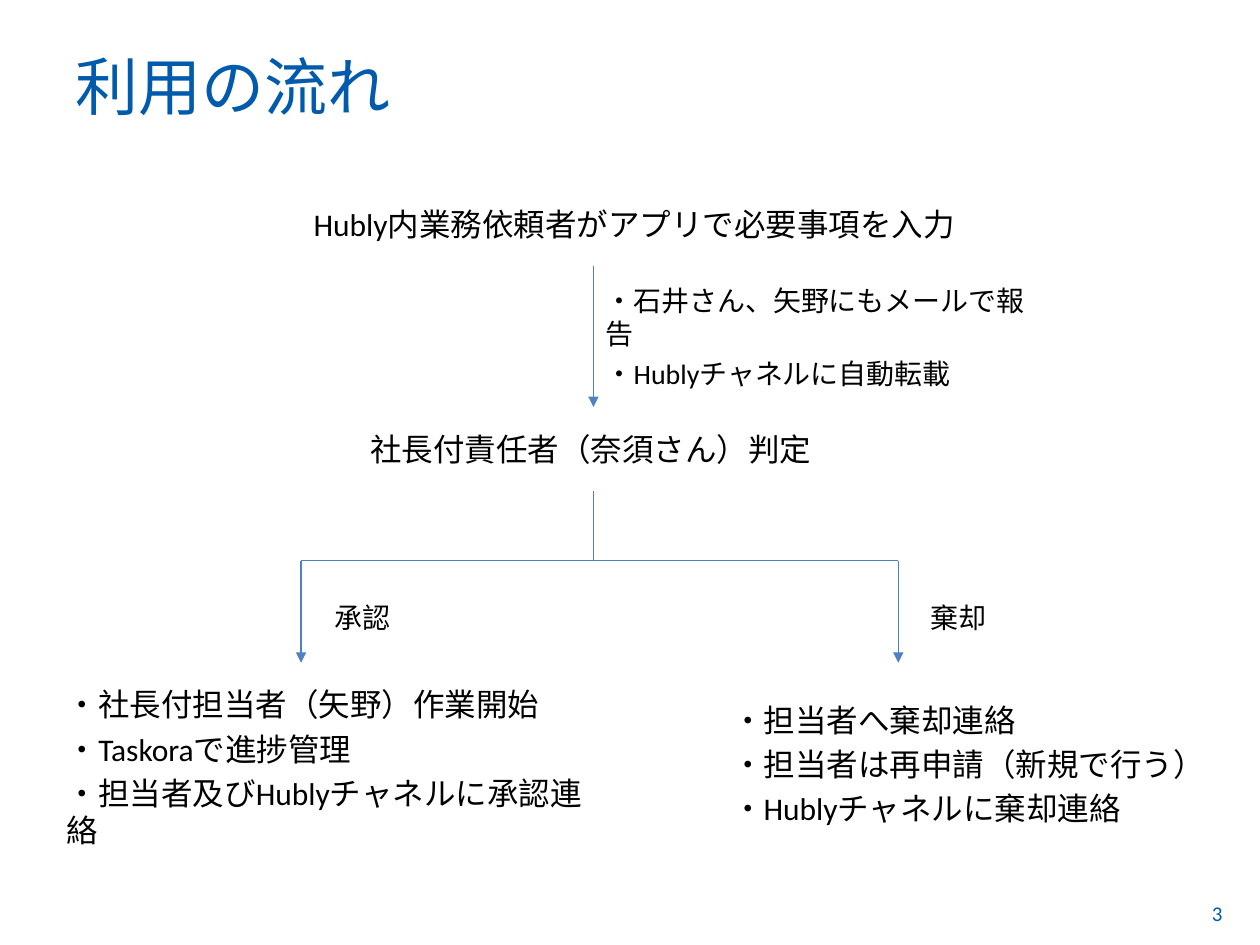
from lxml import etree
from pptx import Presentation
from pptx import util as u
from pptx.dml import color
from pptx.enum import shapes, text
from pptx.oxml import ns

BLUE, LINE, BLACK = "005BAC", "4C82C3", "000000"
IN = 2.54  # centimetres per inch


def fill_text(shape, lines, size, hue=BLACK, anchor="MIDDLE"):
    frame = shape.text_frame
    settings = {"word_wrap": True, "auto_size": text.MSO_AUTO_SIZE.NONE,
                "vertical_anchor": text.MSO_ANCHOR[anchor]}
    for name, value in settings.items():
        setattr(frame, name, value)
    frame.text = "\n".join(lines)
    for i, paragraph in enumerate(frame.paragraphs):
        # The dots are typed, so list bullets and indents are switched off
        props = paragraph._p.get_or_add_pPr()
        props.set("marL", "0")
        props.set("indent", "0")
        etree.SubElement(props, ns.qn("a:buNone"))
        paragraph.alignment = text.PP_ALIGN.LEFT
        paragraph.space_before = u.Pt(size * 0.2 if i else 0)
        for run in paragraph.runs:
            run.font.name = "Calibri"
            run.font.size = u.Pt(size)
            run.font.color.rgb = color.RGBColor.from_string(hue)


def connect(kind, *ends, arrow=False):
    link = slide.shapes.add_connector(kind, *[u.Cm(v * IN) for v in ends])
    link.line.color.rgb = color.RGBColor.from_string(LINE)
    link.line.width = u.Pt(0.75)
    if arrow:
        etree.SubElement(link.line._get_or_add_ln(), ns.qn("a:tailEnd"), type="triangle")
    etree.SubElement(link._element.spPr, ns.qn("a:effectLst"))
    return link


prs = Presentation()
prs.slide_width, prs.slide_height = u.Cm(10 * IN), u.Cm(7.5 * IN)
slide = prs.slides.add_slide(prs.slide_layouts[3])
title, approved, rejected = slide.placeholders

# Title and the two outcome lists
placed = [
    (title, (0.5, 0.26, 9, 0.77), ["利用の流れ"], 36, BLUE, "BOTTOM"),
    (approved, (0.43, 5.44, 4.41, 1.3),
     ["・社長付担当者（矢野）作業開始", "・Taskoraで進捗管理",
      "・担当者及びHublyチャネルに承認連絡"], 18, BLACK, "MIDDLE"),
    (rejected, (5.71, 5.41, 4.41, 1.3),
     ["・担当者へ棄却連絡", "・担当者は再申請（新規で行う）",
      "・Hublyチャネルに棄却連絡"], 18, BLACK, "MIDDLE"),
]
for holder, box, lines, size, hue, anchor in placed:
    for side, value in zip(("left", "top", "width", "height"), box):
        setattr(holder, side, u.Cm(value * IN))
    fill_text(holder, lines, size, hue, anchor)

# Steps, branch labels and page number
labels = [
    ((2.39, 1.47, 5.73, 0.62), ["Hubly内業務依頼者がアプリで必要事項を入力"], 18, BLACK, "MIDDLE"),
    ((2.84, 3.23, 3.74, 0.67), ["社長付責任者（奈須さん）判定"], 18, BLACK, "MIDDLE"),
    ((4.71, 2.36, 3.74, 0.62),
     ["・石井さん、矢野にもメールで報告", "・Hublyチャネルに自動転載"], 16, BLACK, "MIDDLE"),
    ((2.56, 4.59, 0.86, 0.62), ["承認"], 16, BLACK, "MIDDLE"),
    ((7.29, 4.59, 0.86, 0.62), ["棄却"], 16, BLACK, "MIDDLE"),
    ((9.52, 7.1, 0.48, 0.4), ["3"], 12, BLUE, "TOP"),
]
for box, *content in labels:
    fill_text(slide.shapes.add_textbox(*[u.Cm(v * IN) for v in box]), *content)

# Flow from request to decision, then out to both branches
straight, elbow = shapes.MSO_CONNECTOR.STRAIGHT, shapes.MSO_CONNECTOR.ELBOW
trunk_x, decision_y, fork_y, outcome_y = 4.71, 3.9, 4.45, 5.26
connect(straight, trunk_x, 2.11, trunk_x, 3.23, arrow=True)
for branch_x in (2.39, 7.13):
    fork = connect(elbow, branch_x, fork_y, trunk_x, decision_y)
    fork._element.spPr.prstGeom.set("prst", "bentConnector2")  # single corner
    connect(straight, branch_x, fork_y, branch_x, outcome_y, arrow=True)

prs.save("out.pptx")
